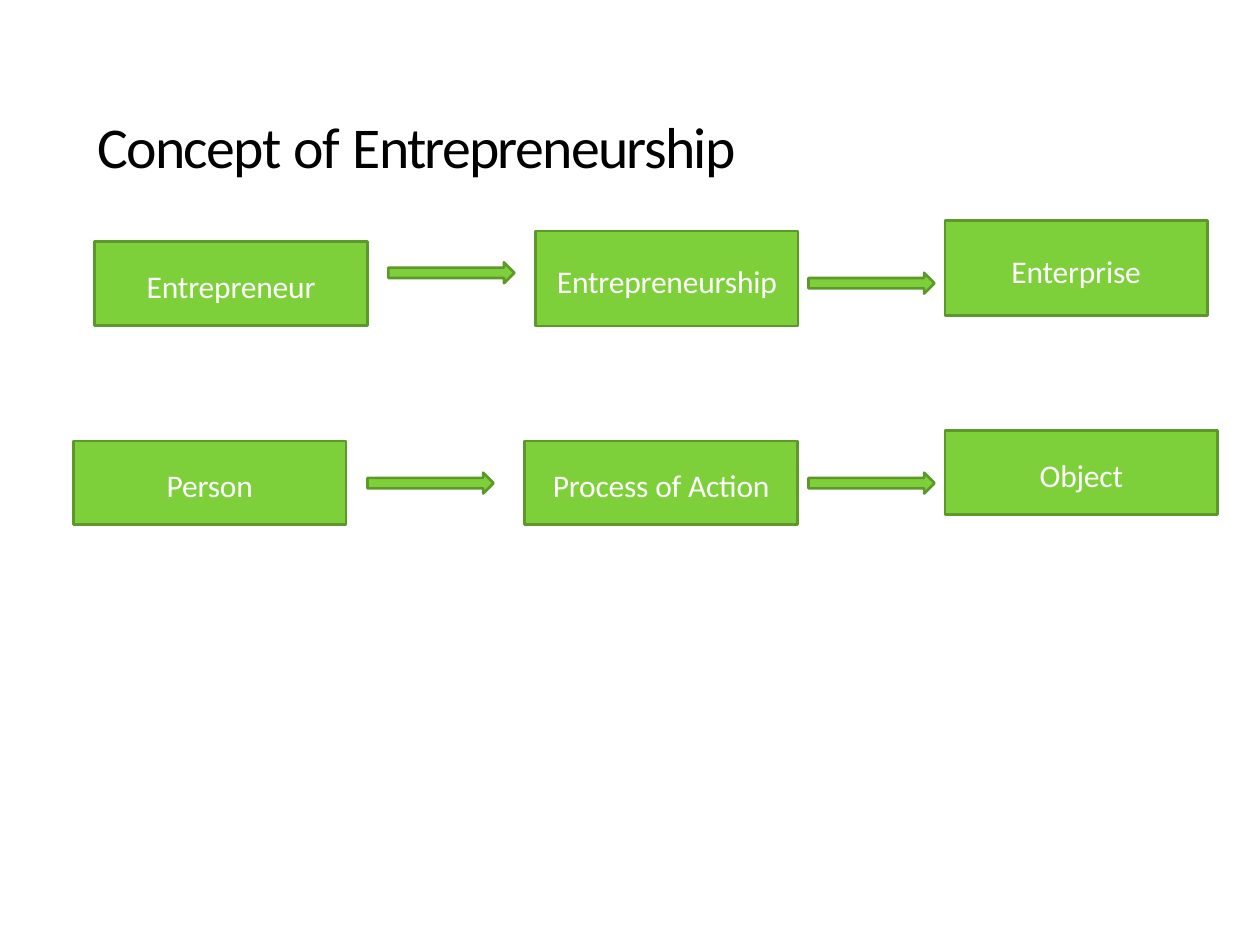
import dataclasses

import pptx
import pptx.dml.color
import pptx.enum.shapes
import pptx.enum.text
import pptx.util

Cm = pptx.util.Cm
ShapeType = pptx.enum.shapes.MSO_SHAPE
Anchor = pptx.enum.text.MSO_ANCHOR
Align = pptx.enum.text.PP_ALIGN


@dataclasses.dataclass(frozen=True)
class Theme:
    font: str = "Calibri"
    fill: str = "7ED03A"
    line: str = "5C992A"
    title_color: str = "000000"
    label_color: str = "FFFFFF"
    title_size: float = 33
    label_size: float = 18
    line_width: float = 1.5


THEME = Theme()
ARROW_WIDTH, ARROW_HEIGHT = 2.54, 0.42


def rgb(value):
    return pptx.dml.color.RGBColor.from_string(value)


def write_line(frame, parts, size, color, align):
    """Write one line from (text, letter spacing in points) parts."""
    frame.margin_left = frame.margin_right = frame.margin_bottom = 0
    frame.vertical_anchor = Anchor.MIDDLE
    frame.word_wrap = True
    paragraph = frame.paragraphs[0]
    paragraph.alignment = align
    paragraph.font.name = THEME.font
    paragraph.font.size = pptx.util.Pt(size)
    paragraph.font.color.rgb = rgb(color)
    for text, spacing in parts:
        run = paragraph.add_run()
        run.text = text
        run._r.get_or_add_rPr().set("spc", str(round(spacing * 100)))


def add_green_shape(slide, kind, left, top, width, height):
    shape = slide.shapes.add_shape(kind, Cm(left), Cm(top), Cm(width), Cm(height))
    shape.shadow.inherit = False
    shape.fill.solid()
    shape.fill.fore_color.rgb = rgb(THEME.fill)
    shape.line.color.rgb = rgb(THEME.line)
    shape.line.width = pptx.util.Pt(THEME.line_width)
    return shape


def add_title(slide, left, top, width, height):
    box = slide.shapes.add_textbox(Cm(left), Cm(top), Cm(width), Cm(height))
    box.text_frame.margin_top = 0
    parts = [("Concept ", -0.9), ("of ", -0.5), ("Entrepreneurship", -1)]
    write_line(box.text_frame, parts, THEME.title_size, THEME.title_color, Align.LEFT)


def add_flow_row(slide, left, top, steps, arrows):
    """Place labelled steps and arrows, offset from the row's corner."""
    for label, x, y, width, height in steps:
        step = add_green_shape(slide, ShapeType.RECTANGLE,
                               left + x, top + y, width, height)
        step.text_frame.margin_top = Cm(0.1)
        write_line(step.text_frame, [(label, -0.1)],
                   THEME.label_size, THEME.label_color, Align.CENTER)
    for x, y in arrows:
        add_green_shape(slide, ShapeType.RIGHT_ARROW,
                        left + x, top + y, ARROW_WIDTH, ARROW_HEIGHT)


def main():
    presentation = pptx.Presentation()
    presentation.slide_width, presentation.slide_height = Cm(25.4), Cm(19.05)
    slide = presentation.slides.add_slide(presentation.slide_layouts[6])

    add_title(slide, 1.96, 1.1, 21.7, 3.68)

    # The concepts
    add_flow_row(
        slide, 1.48, 4.45,
        steps=[("Entrepreneur", 0.43, 0.42, 5.5, 1.69),
               ("Entrepreneurship", 9.32, 0.21, 5.29, 1.91),
               ("Enterprise", 17.57, 0, 5.29, 1.91)],
        arrows=[(6.35, 0.84), (14.82, 1.05)])

    # What each concept stands for
    add_flow_row(
        slide, 1.48, 8.68,
        steps=[("Person", 0, 0.21, 5.5, 1.69),
               ("Process of Action", 9.1, 0.21, 5.5, 1.69),
               ("Object", 17.57, 0, 5.5, 1.69)],
        arrows=[(5.93, 0.85), (14.82, 0.85)])

    presentation.save("out.pptx")


if __name__ == "__main__":
    main()
